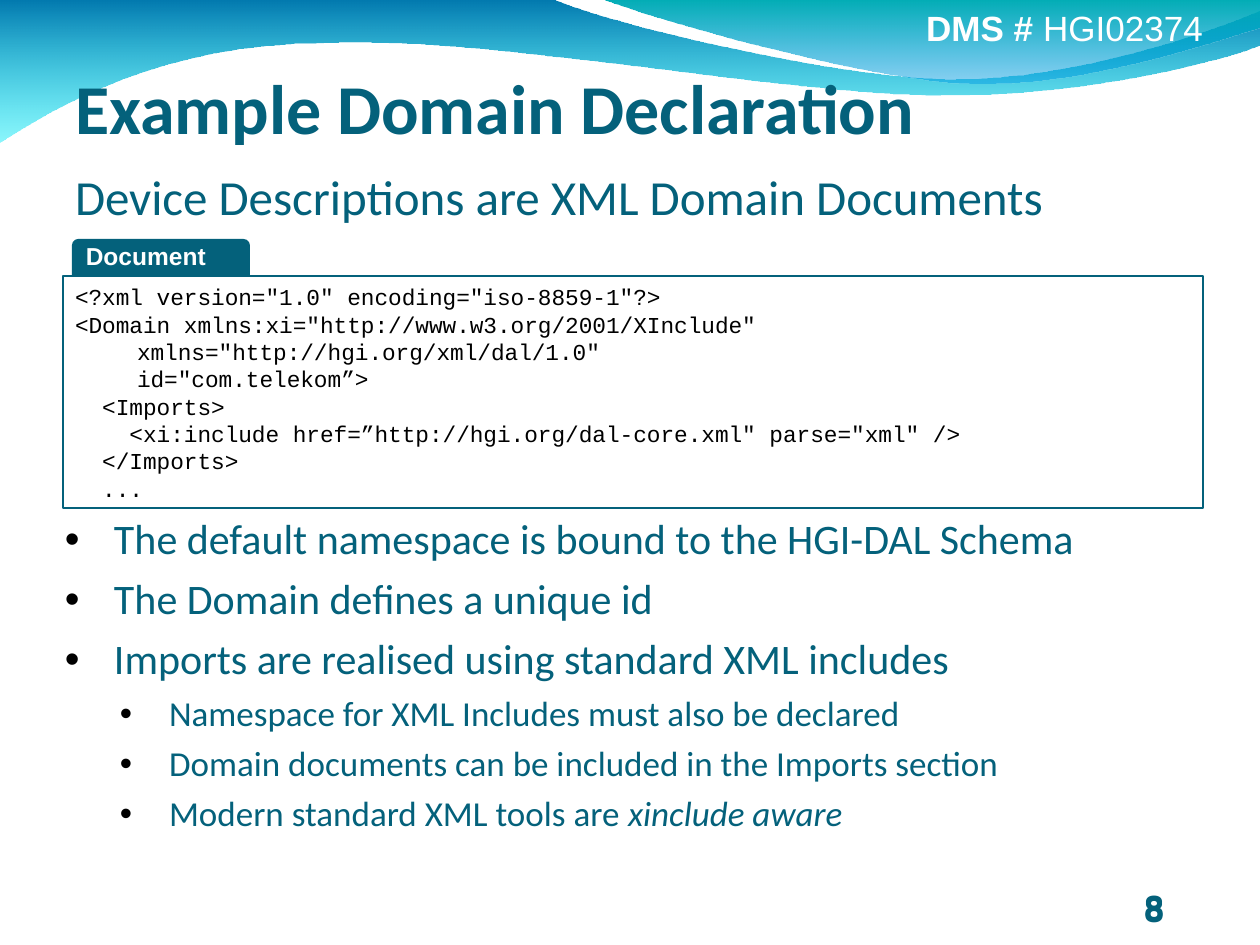
from lxml import etree
from pptx import Presentation
from pptx.dml.color import RGBColor
from pptx.enum.shapes import MSO_SHAPE
from pptx.enum.text import MSO_ANCHOR, MSO_AUTO_SIZE, PP_ALIGN
from pptx.oxml.ns import qn
from pptx.util import Emu, Pt

SCALE = 914400 / 126
RECT = MSO_SHAPE.RECTANGLE
FLAP = MSO_SHAPE.ROUND_2_SAME_RECTANGLE
TOP = MSO_ANCHOR.TOP
MID = MSO_ANCHOR.MIDDLE
BASE = MSO_ANCHOR.BOTTOM
LEFT = PP_ALIGN.LEFT
RIGHT = PP_ALIGN.RIGHT
FIXED = MSO_AUTO_SIZE.NONE

TEAL = RGBColor(0x04, 0x61, 0x7B)
WHITE = RGBColor(0xFF, 0xFF, 0xFF)
BLACK = RGBColor(0x00, 0x00, 0x00)
DEEP = RGBColor(0x00, 0x79, 0xAF)
AQUA = RGBColor(0x00, 0xEB, 0xF8)
SEA = RGBColor(0x00, 0xAD, 0xB6)
SKY = RGBColor(0x00, 0x9B, 0xE5)

CODE = [
    '<?xml version="1.0" encoding="iso-8859-1"?>',
    '<Domain xmlns:xi="http://www.w3.org/2001/XInclude"',
    '\txmlns="http://hgi.org/xml/dal/1.0"',
    '\tid="com.telekom”>',
    '  <Imports>',
    '    <xi:include href=”http://hgi.org/dal-core.xml" parse="xml" />',
    '  </Imports>',
    '  ...',
]
POINTS = [
    (1, "The default namespace is bound to the HGI-DAL Schema", ""),
    (1, "The Domain defines a unique id", ""),
    (1, "Imports are realised using standard XML includes", ""),
    (2, "Namespace for XML Includes must also be declared", ""),
    (2, "Domain documents can be included in the Imports section", ""),
    (2, "Modern standard XML tools are ", "xinclude aware"),
]
LEVELS = {1: (49, 24, 6), 2: (104, 20, 5.2)}
LOW = [
    [(0, 0)], [(554, 0)],
    [(600, 21), (837, 79), (955, 79)],
    [(1075, 79), (1207, 33), (1260, 11)],
    [(1260, 45)],
    [(1239, 55), (1096, 96), (940, 95)],
    [(784, 95), (481, 35), (324, 43)],
    [(163, 44), (58, 105), (0, 142)],
]
HIGH = [
    [(604, 0)],
    [(641, 15), (859, 79), (969, 83)],
    [(1079, 88), (1211, 42), (1260, 28)],
    [(1260, 0)],
]


def px(n):
    return Emu(round(n * SCALE))


def say(para, text, size=20, font="Calibri", color=TEAL, bold=False, italic=False):
    run = para.add_run()
    run.text = text
    face = run.font
    face.size, face.name = Pt(size), font
    face.bold, face.italic = bold, italic
    face.color.rgb = color


def bend(shape, path):
    lines = iter(shape.element.findall(".//" + qn("a:lnTo")))
    for step in path[1:]:
        nodes = [next(lines) for _ in step]
        if len(step) == 3:
            arc = etree.Element(qn("a:cubicBezTo"))
            nodes[0].addprevious(arc)
            for node in nodes:
                arc.append(node[0])
                node.getparent().remove(node)


class Deck:
    def __init__(self):
        self.prs = Presentation()
        self.prs.slide_width, self.prs.slide_height = px(1260), px(945)
        self.slide = self.prs.slides.add_slide(self.prs.slide_layouts[5])
        self.shapes = self.slide.shapes

    def wave(self, path, start, end):
        dots = [(px(x), px(y)) for step in path for x, y in step]
        pen = self.shapes.build_freeform(*dots[0], scale=1.0)
        pen.add_line_segments(dots[1:], close=True)
        shape = pen.convert_to_shape()
        bend(shape, path)
        shape.shadow.inherit = False
        shape.line.fill.background()
        fill = shape.fill
        fill.gradient()
        fill.gradient_angle = 270
        for stop, color in zip(fill.gradient_stops, (start, end)):
            stop.color.rgb = color
        last = shape.element.findall(".//" + qn("a:gs"))[-1]
        etree.SubElement(last[0], qn("a:alpha"), val="45000")

    def frame(self, shape, anchor=TOP, top=6, right=13):
        frame = shape.text_frame
        frame.word_wrap = True
        frame.auto_size = FIXED
        frame.vertical_anchor = anchor
        frame.margin_left, frame.margin_right = px(12), px(right)
        frame.margin_top, frame.margin_bottom = px(top), px(6)
        return frame

    def title(self, text, *box):
        shape = self.shapes.title
        shape.element.getparent().append(shape.element)
        shape.left, shape.top, shape.width, shape.height = map(px, box)
        para = self.frame(shape, BASE).paragraphs[0]
        para.alignment, para.line_spacing = LEFT, 0.98
        say(para, text, size=40, bold=True)

    def text(self, *box, align=LEFT, **kw):
        shape = self.shapes.add_textbox(*map(px, box))
        frame = self.frame(shape, **kw)
        frame.paragraphs[0].alignment = align
        return frame

    def block(self, kind, *box, fill=None, line=None, **kw):
        shape = self.shapes.add_shape(kind, *map(px, box))
        shape.shadow.inherit = False
        if fill is None:
            shape.fill.background()
        else:
            shape.fill.solid()
            shape.fill.fore_color.rgb = fill
        if line is None:
            shape.line.fill.background()
        else:
            shape.line.color.rgb = line
            shape.line.width = Pt(1.5)
        return self.frame(shape, **kw)

    def code(self, frame, lines):
        for n, line in enumerate(lines):
            para = frame.add_paragraph() if n else frame.paragraphs[0]
            para.alignment = LEFT
            tabs = etree.SubElement(para._p.get_or_add_pPr(), qn("a:tabLst"))
            etree.SubElement(tabs, qn("a:tab"), pos=str(px(62)), algn="l")
            say(para, line, size=13, font="Courier New", color=BLACK)

    def list(self, frame, items):
        for n, (level, text, tail) in enumerate(items):
            para = frame.add_paragraph() if n else frame.paragraphs[0]
            left, size, gap = LEVELS[level]
            para.level, para.line_spacing = level, 0.98
            para.space_before = Pt(gap if n else 0)
            prop = para._p.get_or_add_pPr()
            prop.set("marL", str(px(left)))
            prop.set("indent", str(px(-49)))
            tint = etree.SubElement(prop, qn("a:buClr"))
            etree.SubElement(tint, qn("a:srgbClr"), val=str(BLACK))
            etree.SubElement(prop, qn("a:buFont"), typeface="Arial")
            etree.SubElement(prop, qn("a:buChar"), char="•")
            say(para, text, size=size)
            if tail:
                say(para, tail, size=size, italic=True)


def main():
    deck = Deck()
    deck.wave(LOW, DEEP, AQUA)
    deck.wave(HIGH, SEA, SKY)

    mark = deck.text(878, 0, 338, 47, align=RIGHT).paragraphs[0]
    say(mark, "DMS # ", font="Arial", color=WHITE, bold=True)
    say(mark, "HGI02374", font="Arial", color=WHITE)

    deck.title("Example Domain Declaration", 63, 38, 1153, 119)
    deck.list(deck.text(53, 514, 1155, 330, top=1), POINTS)

    for top in (884, 886):
        page = deck.text(1086, top, 110, 49, align=RIGHT, anchor=MID, right=32)
        page.paragraphs[0].line_spacing = 0.93
        say(page.paragraphs[0], "8", font="Arial", bold=True)

    deck.code(deck.block(RECT, 63, 276, 1140, 232, line=TEAL, top=7), CODE)
    flap = deck.block(FLAP, 72, 239, 178, 38, fill=TEAL, top=0).paragraphs[0]
    flap.alignment = LEFT
    say(flap, "Document", size=14, font="Arial", color=WHITE, bold=True)

    lead = deck.text(63, 168, 1155, 66, top=1).paragraphs[0]
    lead.line_spacing = 0.98
    say(lead, "Device Descriptions are XML Domain Documents", size=28)

    deck.prs.save("out.pptx")


if __name__ == "__main__":
    main()
